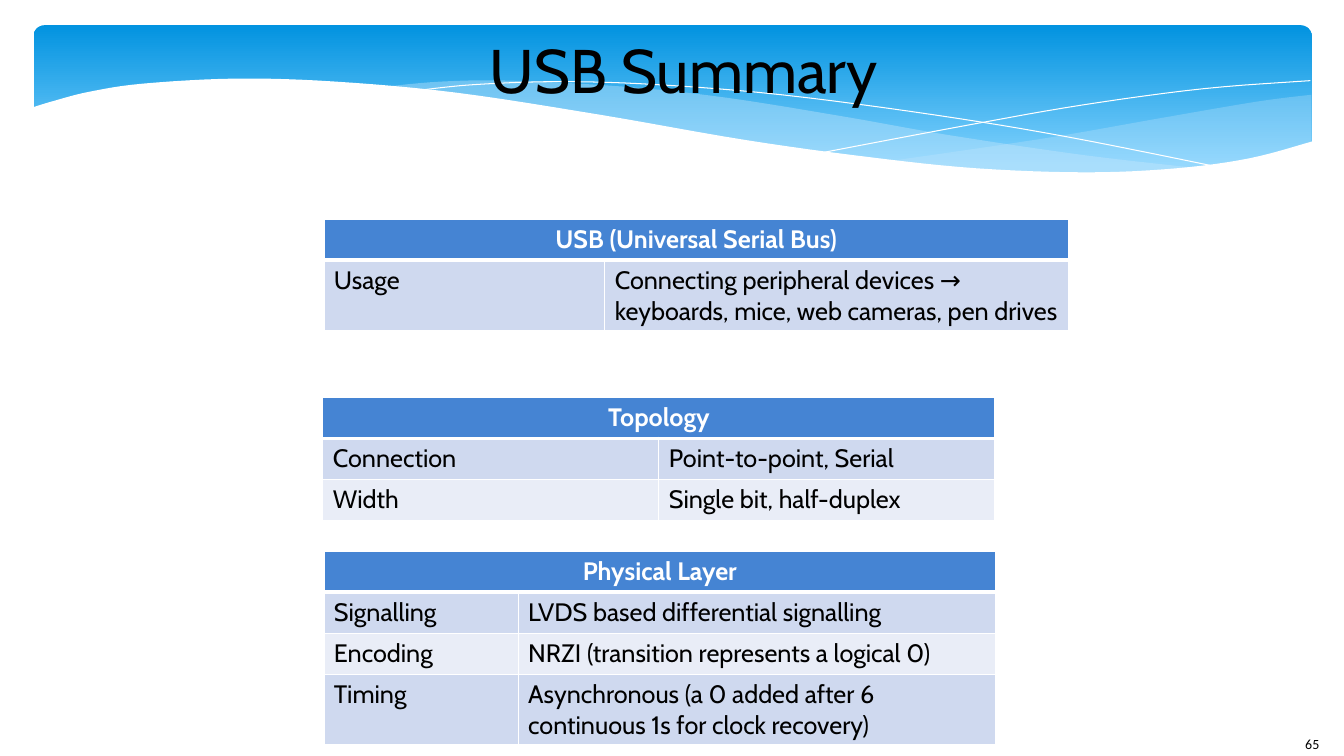
"""Build the USB summary slide: a wave banner, a title and three tables."""
from dataclasses import dataclass

from lxml import etree
from pptx import Presentation, util as u
from pptx.dml.color import RGBColor
from pptx.enum import shapes, text
from pptx.oxml import ns


@dataclass(frozen=True)
class Theme:
    """Colours, fonts and type sizes."""
    sky: str = "0293E0"
    pale_sky: str = "83D3FE"
    mist: str = "C6E7FC"
    white: str = "FFFFFF"
    black: str = "000000"
    header: str = "4584D3"
    bands: tuple = ("CFD9EF", "E9EDF7")
    font: str = "Cabin"
    number_font: str = "Calibri"
    title_size: int = 44
    table_size: int = 18
    number_size: int = 10


def spline(knots, steps=6):
    """Return points of a smooth curve through the knots."""
    pts = [knots[0], *knots, knots[-1]]
    curve = [knots[0]]
    for a, b, c, d in zip(pts, pts[1:], pts[2:], pts[3:]):
        for t in (i / steps for i in range(1, steps + 1)):
            curve.append(tuple(
                (2 * q + (r - p) * t + (2 * p - 5 * q + 4 * r - e) * t**2
                 + (3 * q - p - 3 * r + e) * t**3) / 2
                for p, q, r, e in zip(a, b, c, d)))
    return curve


class SlideBuilder:
    """Draw on one slide, with lengths in cells of a 40-column square grid."""

    def __init__(self, prs, theme):
        """Add a blank slide and set the grid cell."""
        self.theme = theme
        self.s = prs.slides.add_slide(prs.slide_layouts[6])
        self.cell = prs.slide_width / 40

    def emu(self, *lengths):
        """Convert grid lengths to EMU."""
        return [u.Emu(round(n * self.cell)) for n in lengths]

    def set_words(self, tf, words, size, color, font=None, bold=False,
                  align=None):
        """Set a text frame's words and format them."""
        tf.text = words
        p = tf.paragraphs[0]
        p.alignment = align
        r = p.runs[0]
        r.font.name = font or self.theme.font
        r.font.size = u.Pt(size)
        r.font.bold = bold
        r.font.color.rgb = RGBColor.from_string(color)

    def label(self, box, words, size, margin=None, anchor=None, **style):
        """Add a text box."""
        tf = self.s.shapes.add_textbox(*self.emu(*box)).text_frame
        tf.word_wrap = True
        tf.vertical_anchor = anchor
        if margin is not None:
            tf.margin_left = tf.margin_right = margin
            tf.margin_top = tf.margin_bottom = margin
        self.set_words(tf, words, size, self.theme.black, **style)

    def banner(self, box):
        """Add the rounded gradient banner."""
        sp = self.s.shapes.add_shape(
            shapes.MSO_SHAPE.ROUNDED_RECTANGLE, *self.emu(*box))
        sp.adjustments[0] = 0.07
        sp.shadow.inherit = False
        sp.line.fill.background()
        sp.fill.gradient()
        sp.fill.gradient_angle = 270
        stops = zip(sp.fill.gradient_stops, (0, 0.9),
                    (self.theme.sky, self.theme.pale_sky))
        for stop, position, color in stops:
            stop.position = position
            stop.color.rgb = RGBColor.from_string(color)

    def outline(self, points, closed):
        """Add a freeform through the points."""
        pts = [self.emu(*pt) for pt in points]
        builder = self.s.shapes.build_freeform(*pts[0])
        builder.add_line_segments(pts[1:], close=closed)
        sp = builder.convert_to_shape()
        sp.shadow.inherit = False
        return sp

    def area(self, edges, color, opacity=100):
        """Add a filled area bounded by smooth edges."""
        sp = self.outline([pt for edge in edges for pt in spline(edge)], True)
        sp.line.fill.background()
        sp.fill.solid()
        sp.fill.fore_color.rgb = RGBColor.from_string(color)
        if opacity < 100:
            fill = sp.element.spPr.find(ns.qn("a:solidFill"))
            etree.SubElement(fill[0], ns.qn("a:alpha"),
                             val=str(opacity * 1000))

    def curve(self, knots):
        """Add a white hairline curve."""
        sp = self.outline(spline(knots), False)
        sp.fill.background()
        sp.line.color.rgb = RGBColor.from_string(self.theme.white)
        sp.line.width = 0

    def paint(self, cell, fill, top, bottom):
        """Set a table cell's fill and white borders."""
        tc_pr = cell._tc.get_or_add_tcPr()
        for side, width in zip("LRTB", (1, 1, top, bottom)):
            ln = etree.SubElement(tc_pr, ns.qn(f"a:ln{side}"),
                                  w=str(u.Pt(width)))
            solid = etree.SubElement(ln, ns.qn("a:solidFill"))
            etree.SubElement(solid, ns.qn("a:srgbClr"), val=self.theme.white)
        cell.fill.solid()
        cell.fill.fore_color.rgb = RGBColor.from_string(fill)

    def table(self, left, top, widths, heading, rows, tall_last=False):
        """Add a two-column table under a merged heading."""
        th = self.theme
        heights = [1.22] * (len(rows) + 1)
        if tall_last:
            heights[-1] = 2.1
        box = self.emu(left, top, sum(widths), sum(heights))
        tbl = self.s.shapes.add_table(len(heights), 2, *box).table
        for col, width in zip(tbl.columns, self.emu(*widths)):
            col.width = width
        for row, height in zip(tbl.rows, self.emu(*heights)):
            row.height = height
        tbl.cell(0, 0).merge(tbl.cell(0, 1))
        self.set_words(tbl.cell(0, 0).text_frame, heading, th.table_size,
                       th.white, bold=True, align=text.PP_ALIGN.CENTER)
        for cell in tbl.rows[0].cells:
            self.paint(cell, th.header, 1, 3)
        for i, row in enumerate(rows):
            for cell, words in zip(tbl.rows[i + 1].cells, row):
                self.set_words(cell.text_frame, words, th.table_size, th.black)
                self.paint(cell, th.bands[i % 2], 1 if i else 3, 1)


def main():
    """Build and save the slide."""
    prs = Presentation()
    prs.slide_width, prs.slide_height = u.Inches(13.333), u.Inches(7.5)
    theme = Theme()
    s = SlideBuilder(prs, theme)

    s.banner((1, 0.75, 38.04, 4.68))
    s.area([
        [(39.03, 2.82), (37.38, 3.03), (34.41, 3.54), (31.14, 4.11),
         (26.46, 4.8)],
        [(26.46, 4.8), (29.28, 5.04), (32.13, 5.16), (34.89, 5.07),
         (37.41, 4.68), (39.03, 4.26)],
    ], theme.mist, 29)
    s.area([
        [(35.7, 5.01), (32.28, 4.62), (28.23, 4.02), (25.17, 3.48),
         (21.63, 2.91), (18.57, 2.58), (15.18, 2.4), (13.11, 2.43),
         (11.46, 2.58)],
        [(11.46, 2.58), (14.49, 2.91), (17.97, 3.48), (22.65, 4.29),
         (26.61, 4.83), (29.94, 5.1), (33.12, 5.19), (35.7, 5.01)],
    ], theme.mist, 40)
    s.curve([(12.36, 2.7), (14.1, 2.52), (16.65, 2.43), (19.56, 2.52),
             (23.25, 2.82), (27.81, 3.42), (31.8, 4.08), (36.3, 4.98)])
    s.curve([(24.54, 4.53), (28.83, 3.72), (32.25, 3.12), (35.82, 2.64),
             (39, 2.4)])
    s.area([
        [(0.93, 3.21), (1.62, 3), (2.67, 2.73), (4.26, 2.49), (7.05, 2.34),
         (9.99, 2.43), (13.59, 2.76), (17.88, 3.42), (22.2, 4.17),
         (25.89, 4.68), (29.07, 5.01), (32.34, 5.13), (35.01, 5.01),
         (37.2, 4.71), (39.09, 4.2)],
        [(39.09, 6.72), (0.93, 6.72)],
    ], theme.white)

    s.label((38.55, 21.75, 1.44, 0.75), "65", theme.number_size,
            font=theme.number_font)
    s.label((8.19, 0.51, 24.33, 3.06), "USB Summary", theme.title_size,
            margin=0, anchor=text.MSO_ANCHOR.MIDDLE,
            align=text.PP_ALIGN.CENTER)

    s.table(9.64, 6.52, (8.36, 13.8), "USB (Universal Serial Bus)", [
        ("Usage", "Connecting peripheral devices → keyboards, mice, "
                  "web cameras, pen drives"),
    ], tall_last=True)
    s.table(9.61, 11.83, (10, 10), "Topology", [
        ("Connection", "Point-to-point, Serial"),
        ("Width", "Single bit, half-duplex"),
    ])
    s.table(9.64, 16.41, (5.78, 14.22), "Physical Layer", [
        ("Signalling", "LVDS based differential signalling"),
        ("Encoding", "NRZI (transition represents a logical 0)"),
        ("Timing", "Asynchronous (a 0 added after 6 continuous 1s "
                   "for clock recovery)"),
    ], tall_last=True)
    prs.save("out.pptx")


if __name__ == "__main__":
    main()
